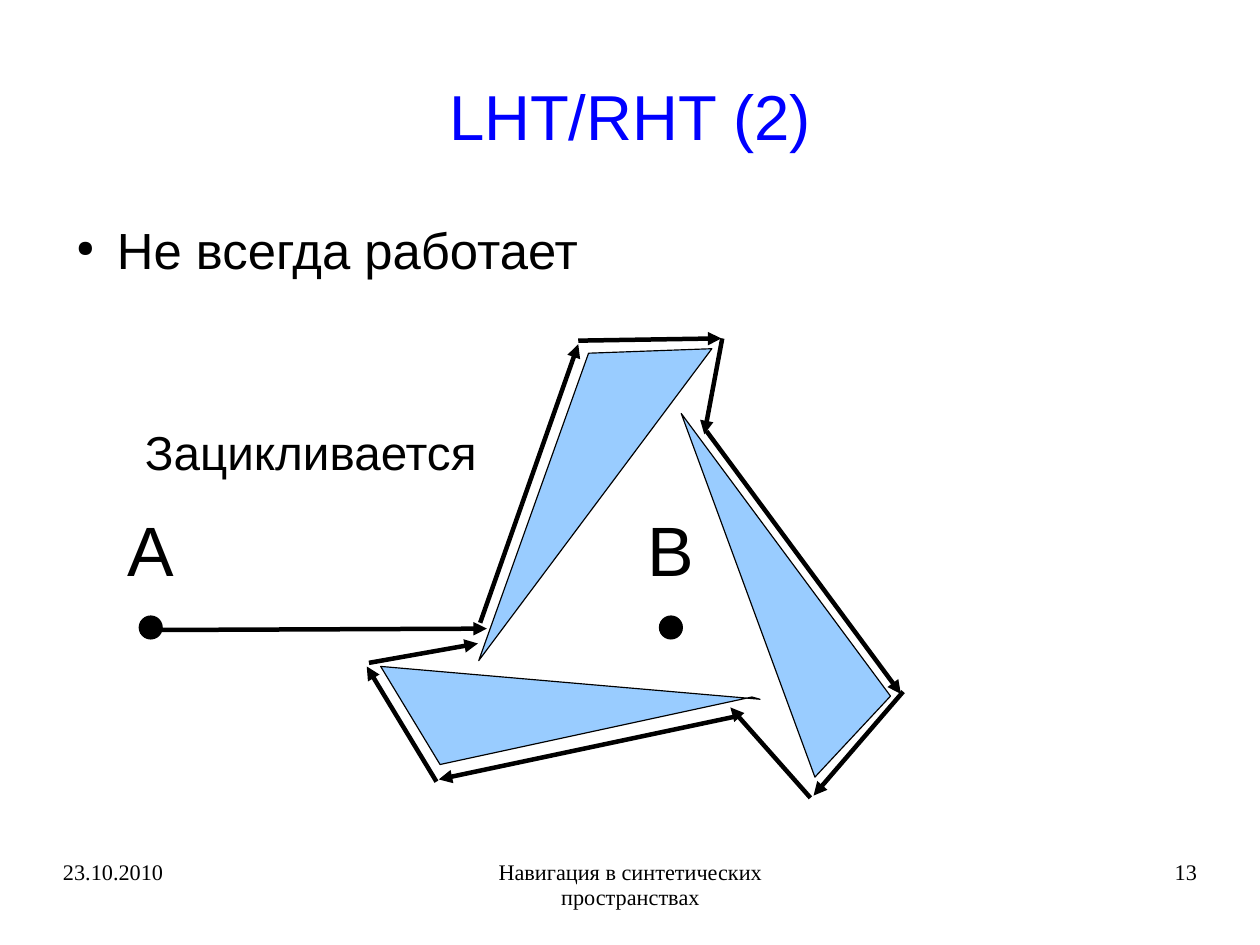
from dataclasses import dataclass

from lxml.etree import SubElement
from pptx import Presentation
from pptx.dml.color import RGBColor
from pptx.enum.shapes import MSO_CONNECTOR, MSO_SHAPE
from pptx.enum.text import MSO_ANCHOR, MSO_AUTO_SIZE, PP_ALIGN
from pptx.oxml.ns import qn
from pptx.shapes.base import BaseShape
from pptx.slide import Slide
from pptx.util import Cm, Pt

Point = tuple[float, float]


@dataclass(frozen=True)
class Theme:
    title_color: RGBColor = RGBColor(0x00, 0x00, 0xFF)
    ink: RGBColor = RGBColor(0x00, 0x00, 0x00)
    obstacle_fill: RGBColor = RGBColor(0x99, 0xCC, 0xFF)
    sans: str = "Arial"
    serif: str = "Times New Roman"
    title_size: float = 40
    body_size: float = 32
    label_size: float = 30
    letter_size: float = 44
    footer_size: float = 14
    outline: float = 0.75
    arrow_width: float = 2.83
    line_spacing: float = 0.93


THEME = Theme()


@dataclass(frozen=True)
class TextItem:
    """Text with its box and insets (left, top, right, bottom) in centimetres."""
    text: str
    box: tuple[float, float, float, float]
    size: float
    insets: tuple[float, float, float, float] = (0, 0, 0, 0)
    font: str = THEME.sans
    color: RGBColor = THEME.ink
    align: PP_ALIGN = PP_ALIGN.LEFT
    anchor: MSO_ANCHOR = MSO_ANCHOR.TOP
    wrap: bool = True
    bullet: bool = False


@dataclass(frozen=True)
class Waypoint:
    letter: str
    center_x: float


@dataclass(frozen=True)
class Arrow:
    start: Point
    end: Point


# Text
TITLE = TextItem("LHT/RHT (2)", (1.4, 0.84, 25.2, 3.5), THEME.title_size,
                 insets=(0, 0.1, 0, 0), color=THEME.title_color,
                 align=PP_ALIGN.CENTER, anchor=MSO_ANCHOR.MIDDLE)
BODY = TextItem("Не всегда работает", (1.4, 4.9, 25.2, 13.87), THEME.body_size,
                insets=(0, 0.08, 0, 0), bullet=True)
LOOP_LABEL = TextItem("Зацикливается", (2.97, 9.32, 7.87, 1.42), THEME.label_size,
                      insets=(0.25, 0.2, 0.25, 0.13), wrap=False)

FOOTER_TOP, FOOTER_HEIGHT = 19.13, 1.45
FOOTERS = [
    TextItem(text, (left, FOOTER_TOP, width, FOOTER_HEIGHT), THEME.footer_size,
             font=THEME.serif, align=align)
    for text, left, width, align in (
        ("Навигация в синтетических пространствах", 9.58, 8.86, PP_ALIGN.CENTER),
        ("13", 20.07, 6.53, PP_ALIGN.RIGHT),
        ("23.10.2010", 1.4, 6.53, PP_ALIGN.LEFT),
    )
]

# Diagram
DOT_TOP, DOT_SIZE = 13.69, 0.51
LETTER_TOP, LETTER_WIDTH, LETTER_HEIGHT = 11.2, 2.49, 1.98
LETTER_OFFSET = 0.76
WAYPOINTS = [Waypoint("A", 3.35), Waypoint("B", 14.91)]

OBSTACLES: list[list[Point]] = [
    [(10.64, 14.68), (13.08, 7.85), (15.82, 7.75)],
    [(15.14, 9.19), (19.79, 15.47), (18.11, 17.27)],
    [(16.89, 15.54), (16.71, 15.49), (9.78, 16.99), (8.46, 14.81)],
]

ROUTE = [
    Arrow((3.51, 14.0), (10.82, 13.97)),
    Arrow((10.67, 13.84), (12.85, 7.65)),
    Arrow((12.85, 7.57), (16.03, 7.52)),
    Arrow((16.05, 7.52), (15.65, 9.65)),
    Arrow((15.7, 9.58), (20.02, 15.42)),
    Arrow((20.07, 15.37), (18.08, 17.68)),
    Arrow((18.01, 17.73), (16.23, 15.72)),
    Arrow((16.31, 15.93), (9.75, 17.32)),
    Arrow((9.7, 17.37), (8.15, 14.81)),
    Arrow((8.2, 14.73), (10.62, 14.3)),
]


def write_text(shape: BaseShape, item: TextItem) -> None:
    shape.left, shape.top, shape.width, shape.height = map(Cm, item.box)
    frame = shape.text_frame
    frame.auto_size = MSO_AUTO_SIZE.NONE
    frame.word_wrap = item.wrap
    frame.vertical_anchor = item.anchor
    (frame.margin_left, frame.margin_top,
     frame.margin_right, frame.margin_bottom) = map(Cm, item.insets)
    paragraph = frame.paragraphs[0]
    paragraph.alignment = item.align
    paragraph.line_spacing = THEME.line_spacing
    if item.bullet:
        properties = paragraph._p.get_or_add_pPr()
        properties.set("marL", str(Cm(1.2)))
        properties.set("indent", str(Cm(-0.9)))
        SubElement(properties, qn("a:buSzPct"), val="45000")
        SubElement(properties, qn("a:buChar"), char="●")
    run = paragraph.add_run()
    run.text = item.text
    run.font.name = item.font
    run.font.size = Pt(item.size)
    run.font.color.rgb = item.color


def add_text(slide: Slide, item: TextItem) -> None:
    write_text(slide.shapes.add_textbox(*map(Cm, item.box)), item)


def paint(shape: BaseShape, fill: RGBColor) -> None:
    shape.shadow.inherit = False
    shape.fill.solid()
    shape.fill.fore_color.rgb = fill
    shape.line.color.rgb = THEME.ink
    shape.line.width = Pt(THEME.outline)


def add_waypoint(slide: Slide, waypoint: Waypoint) -> None:
    dot_left = waypoint.center_x - DOT_SIZE / 2
    add_text(slide, TextItem(
        waypoint.letter,
        (waypoint.center_x - LETTER_OFFSET, LETTER_TOP, LETTER_WIDTH, LETTER_HEIGHT),
        THEME.letter_size, insets=(0.25, 0.23, 0.25, 0.13)))
    dot = slide.shapes.add_shape(MSO_SHAPE.OVAL, Cm(dot_left), Cm(DOT_TOP),
                                 Cm(DOT_SIZE), Cm(DOT_SIZE))
    paint(dot, THEME.ink)


def add_obstacle(slide: Slide, corners: list[Point]) -> None:
    first, *others = [(Cm(x), Cm(y)) for x, y in corners]
    builder = slide.shapes.build_freeform(*first)
    builder.add_line_segments(others, close=True)
    paint(builder.convert_to_shape(), THEME.obstacle_fill)


def add_arrow(slide: Slide, arrow: Arrow) -> None:
    connector = slide.shapes.add_connector(
        MSO_CONNECTOR.STRAIGHT, *map(Cm, arrow.start + arrow.end))
    connector.line.color.rgb = THEME.ink
    connector.line.width = Pt(THEME.arrow_width)
    SubElement(connector.line._get_or_add_ln(), qn("a:tailEnd"), type="triangle")
    SubElement(connector._element.spPr, qn("a:effectLst"))


def main() -> None:
    presentation = Presentation()
    presentation.slide_width, presentation.slide_height = Cm(28), Cm(21)
    title_only = presentation.slide_layouts[5]
    slide = presentation.slides.add_slide(title_only)

    write_text(slide.shapes.title, TITLE)
    add_text(slide, BODY)
    for waypoint in WAYPOINTS:
        add_waypoint(slide, waypoint)
    for corners in OBSTACLES:
        add_obstacle(slide, corners)
    for arrow in ROUTE:
        add_arrow(slide, arrow)
    for item in (LOOP_LABEL, *FOOTERS):
        add_text(slide, item)

    presentation.save("out.pptx")


if __name__ == "__main__":
    main()
